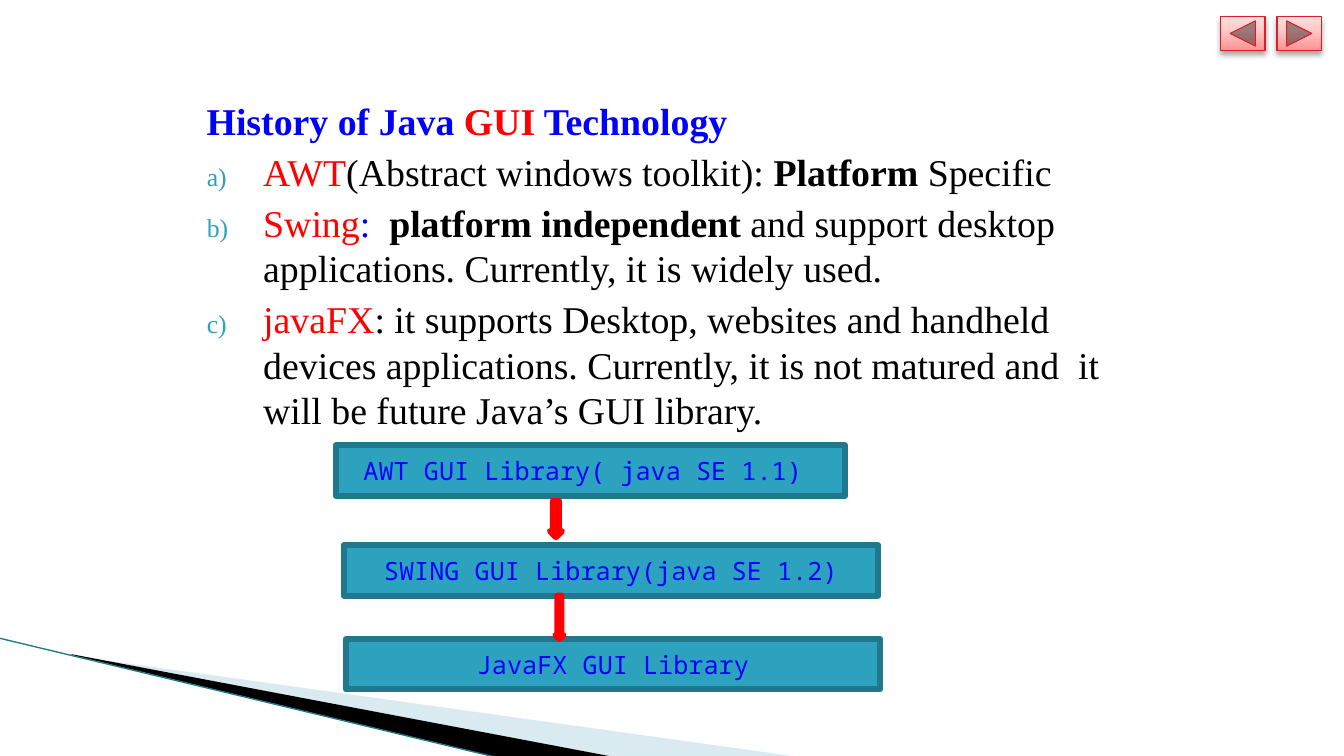
"""Build the slide on the history of Java GUI technology."""
import copy
from dataclasses import dataclass

import lxml.etree
import pptx
import pptx.dml.color
import pptx.enum.shapes
import pptx.enum.text
import pptx.oxml.ns
import pptx.util

Pt = pptx.util.Pt
qn = pptx.oxml.ns.qn
Preset = pptx.enum.shapes.MSO_SHAPE
BLUE, RED, BLACK, TEAL, DARK_TEAL = "0000FF", "FF0000", "000000", "2DA2BF", "21788D"
BORDER = 4.33


@dataclass
class Box:
    left: float
    top: float
    width: float
    height: float
    text: str = ""


@dataclass
class Swoosh:
    points: list[tuple[float, float]]
    color: str
    opacity: int


@dataclass
class Words:
    text: str
    color: str = BLACK
    bold: bool = False


SWOOSHES = [
    Swoosh([(52.5, 468.5), (571, 540.7), (437.8, 540.7), (52.5, 468)], "A0CBDC", 40),
    Swoosh([(51, 467.3), (438.5, 540.7), (357, 541.4), (51.8, 468)], BLACK, 100),
]
BUTTONS = [Preset.ACTION_BUTTON_BACK_OR_PREVIOUS, Preset.ACTION_BUTTON_FORWARD_OR_NEXT]
BUTTON_STOPS = [(0, "FF9294"), (0.65, "FFCDCD"), (1, "FFDCDC")]
HEADING = [Words("History of Java ", BLUE, True), Words("GUI", RED, True),
           Words(" Technology", BLUE, True)]
ITEMS = [
    [Words("AWT", RED), Words("(Abstract windows toolkit): "),
     Words("Platform", bold=True), Words(" Specific")],
    [Words("Swing", RED), Words(":  ", BLUE), Words("platform independent ", bold=True),
     Words("and support desktop applications. Currently, it is widely used.")],
    [Words("javaFX", RED),
     Words(": it supports Desktop, websites and handheld devices applications. "
           "Currently, it is not matured and  it will be future Java’s GUI library.")],
]
LIBRARIES = [
    Box(239.8, 318.2, 363.6, 36, "AWT GUI Library( java SE 1.1) "),
    Box(245.5, 389.5, 381.6, 36, "SWING GUI Library(java SE 1.2)"),
    Box(247, 456.5, 381.6, 36, "JavaFX GUI Library"),
]
ARROWS = [Box(392.8, 357.8, 8.6, 25.9), Box(396.7, 425.5, 5.8, 31)]


def rgb(color: str) -> pptx.dml.color.RGBColor:
    return pptx.dml.color.RGBColor.from_string(color)


def add_child(parent, tag: str, **attributes: str):
    return lxml.etree.SubElement(parent, qn(tag), attributes)


def assign(target, values: dict) -> None:
    for name, value in values.items():
        setattr(target, name, value)


def add_words(paragraph, words: Words, size: float, font: str) -> None:
    run = paragraph.add_run()
    run.text = words.text
    assign(run.font, {"size": Pt(size), "name": font, "bold": words.bold})
    run.font.color.rgb = rgb(words.color)


def add_preset(slide, preset, box: Box, line: str, weight: float):
    shape = slide.shapes.add_shape(
        preset, Pt(box.left), Pt(box.top), Pt(box.width), Pt(box.height))
    shape.shadow.inherit = False
    shape.fill.solid()
    shape.fill.fore_color.rgb = rgb(TEAL)
    shape.line.color.rgb = rgb(line)
    shape.line.width = Pt(weight)
    return shape


def add_swoosh(slide, swoosh: Swoosh) -> None:
    points = [(Pt(x), Pt(y)) for x, y in swoosh.points]
    builder = slide.shapes.build_freeform(*points[0])
    builder.add_line_segments(points[1:])
    shape = builder.convert_to_shape()
    shape.shadow.inherit = False
    shape.line.fill.background()
    shape.fill.solid()
    shape.fill.fore_color.rgb = rgb(swoosh.color)
    color = next(shape.element.spPr.iter(qn("a:srgbClr")))
    add_child(color, "a:alpha", val=str(swoosh.opacity * 1000))


def add_edge(slide) -> None:
    edge = slide.shapes.add_connector(
        pptx.enum.shapes.MSO_CONNECTOR.STRAIGHT, Pt(-0.7), Pt(455.8), Pt(356.4), Pt(541.4))
    edge.line.color.rgb = rgb(DARK_TEAL)
    edge.line.width = Pt(0.95)
    add_child(edge.element.spPr, "a:effectLst")


def add_button(slide, preset, box: Box) -> None:
    button = add_preset(slide, preset, box, "DA1F28", 0.75)
    button.fill.gradient()
    button.fill.gradient_angle = 90
    stops = next(button.element.spPr.iter(qn("a:gsLst")))
    stops.append(copy.deepcopy(stops[0]))
    for stop, (position, color) in zip(button.fill.gradient_stops, BUTTON_STOPS):
        stop.position = position
        stop.color.rgb = rgb(color)
    effects = button.element.spPr.find(qn("a:effectLst"))
    shadow = add_child(effects, "a:outerShdw", blurRad=str(Pt(4)), dist=str(Pt(3)),
                       dir="5400000", rotWithShape="0")
    add_child(add_child(shadow, "a:srgbClr", val=BLACK), "a:alpha", val="35000")


def fill_body(body) -> None:
    assign(body, {"left": Pt(131.8), "top": Pt(66.2), "width": Pt(689.8), "height": Pt(468)})
    frame = body.text_frame
    assign(frame, {"word_wrap": True, "auto_size": pptx.enum.text.MSO_AUTO_SIZE.NONE,
                   "vertical_anchor": pptx.enum.text.MSO_ANCHOR.TOP})
    for index, line in enumerate([HEADING, *ITEMS]):
        paragraph = frame.add_paragraph() if index else frame.paragraphs[0]
        assign(paragraph, {"space_before": Pt(4), "line_spacing": 1.0})
        properties = paragraph._p.get_or_add_pPr()
        margin, indent = (49, -40.3) if index else (8.6, 0)
        properties.set("marL", str(Pt(margin)))
        properties.set("indent", str(Pt(indent)))
        if index:
            add_child(add_child(properties, "a:buClr"), "a:srgbClr", val=TEAL)
            add_child(properties, "a:buSzPct", val="68000")
            add_child(properties, "a:buFont", typeface="Times New Roman")
            add_child(properties, "a:buAutoNum", type="alphaLcParenR")
        else:
            add_child(properties, "a:buNone")
        for words in line:
            add_words(paragraph, words, 27, "Times New Roman")


def add_library(slide, box: Box) -> None:
    shape = add_preset(slide, Preset.RECTANGLE, box, DARK_TEAL, BORDER)
    assign(shape.text_frame, {"word_wrap": True,
                              "vertical_anchor": pptx.enum.text.MSO_ANCHOR.MIDDLE})
    paragraph = shape.text_frame.paragraphs[0]
    paragraph.alignment = pptx.enum.text.PP_ALIGN.CENTER
    add_words(paragraph, Words(box.text, BLUE), 18, "Noto Sans Mono")


def main() -> None:
    presentation = pptx.Presentation()
    assign(presentation, {"slide_width": Pt(960), "slide_height": Pt(540)})
    slide = presentation.slides.add_slide(presentation.slide_layouts[1])
    title = slide.shapes.title.element
    title.getparent().remove(title)
    for swoosh in SWOOSHES:
        add_swoosh(slide, swoosh)
    add_edge(slide)
    for index, preset in enumerate(BUTTONS):
        add_button(slide, preset, Box(871.9 + 40.3 * index, 11.9, 31.7, 24))
    fill_body(slide.placeholders[1])
    for library in LIBRARIES:
        add_library(slide, library)
    for arrow in ARROWS:
        add_preset(slide, Preset.DOWN_ARROW, arrow, RED, BORDER)
    presentation.save("out.pptx")


if __name__ == "__main__":
    main()
